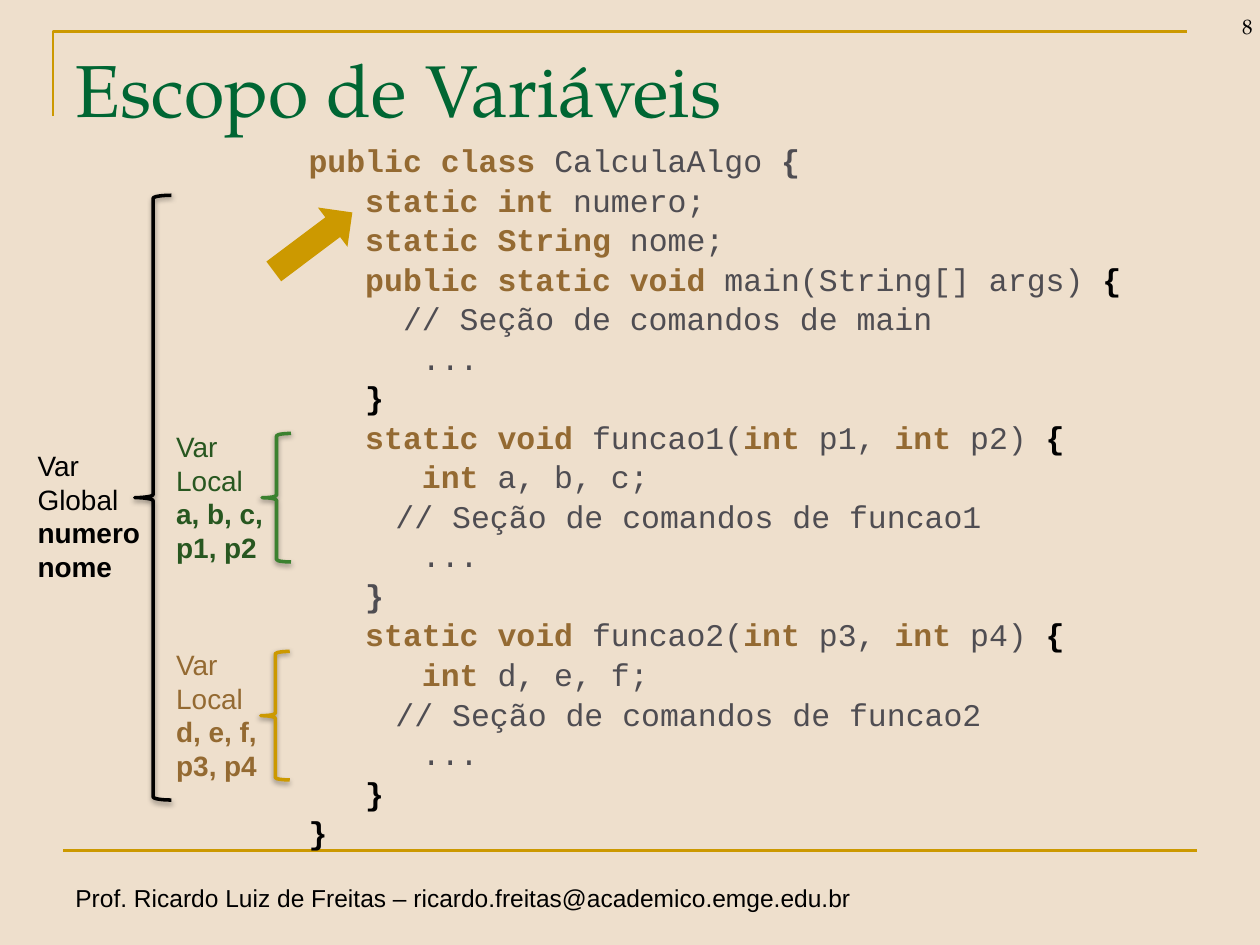
from lxml import etree
from pptx import Presentation
from pptx.dml.color import RGBColor
from pptx.enum.shapes import MSO_CONNECTOR, MSO_SHAPE
from pptx.enum.text import MSO_ANCHOR, PP_ALIGN
from pptx.oxml import parse_xml
from pptx.oxml.ns import qn
from pptx.util import Inches, Pt

LEFT, RIGHT = PP_ALIGN.LEFT, PP_ALIGN.RIGHT
TOP, BOTTOM = MSO_ANCHOR.TOP, MSO_ANCHOR.BOTTOM
RECT, BRACE, ARROW = MSO_SHAPE.RECTANGLE, MSO_SHAPE.LEFT_BRACE, MSO_SHAPE.DOWN_ARROW
STRAIGHT = MSO_CONNECTOR.STRAIGHT

SAND, GOLD, BLACK = "EEDFCC", "CC9900", "000000"
TITLE_GREEN, GREEN, DARK_GREEN = "006633", "3B812F", "285720"
BROWN, GRAY = "946A32", "4F4D52"
SERIF, SANS, MONO = "TeX Gyre Pagella", "Arial", "Courier New"

CODE_SIZE = 18
CHAR = 0.15  # width of one code character, in inches

# Code styles: colour and bold
KEYWORD, PLAIN = (BROWN, True), (GRAY, False)
MARK, GRAY_MARK = (BLACK, True), (GRAY, True)


def rgb(color):
    return RGBColor.from_string(color)


def add_run(p, text, size=16, font=SANS, color=BLACK, bold=False):
    r = p.add_run()
    r.text = text
    r.font.size, r.font.name, r.font.bold = Pt(size), font, bold
    r.font.color.rgb = rgb(color)


def add_text(s, box, text, align=LEFT, anchor=TOP, wrap=True, bold_from=None, **fmt):
    """Text box with one paragraph per line; lines from bold_from on are bold."""
    tf = s.shapes.add_textbox(*map(Inches, box)).text_frame
    tf.word_wrap, tf.vertical_anchor = wrap, anchor
    for i, line in enumerate(text.split("\n")):
        p = tf.paragraphs[0] if i == 0 else tf.add_paragraph()
        p.alignment = align
        add_run(p, line, bold=bold_from is not None and i >= bold_from, **fmt)


def add_shape(s, kind, box, fill=None, line=None):
    sp = s.shapes.add_shape(kind, *map(Inches, box))
    sp.shadow.inherit = False
    if fill:
        sp.fill.solid()
        sp.fill.fore_color.rgb = rgb(fill)
    else:
        sp.fill.background()
    if line:
        sp.line.color.rgb, sp.line.width = rgb(line), Pt(2)
    else:
        sp.line.fill.background()
    return sp


def add_frame(s, left, top, width, height):
    """Corner line above the title and rule above the footer."""
    x, y = Inches(left), Inches(top)
    builder = s.shapes.build_freeform(x, y + Inches(0.67))
    builder.add_line_segments([(x, y), (x + Inches(9), y)], close=False)
    corner = builder.convert_to_shape()
    corner.shadow.inherit = False
    corner.fill.background()
    base = Inches(top + height)
    rule = s.shapes.add_connector(STRAIGHT, Inches(left + width - 9), base,
                                  Inches(left + width), base)
    etree.SubElement(rule._element.spPr, qn("a:effectLst"))
    for sp in (corner, rule):
        sp.line.color.rgb, sp.line.width = rgb(GOLD), Pt(1.5)


def function_lines(name, params, variables, comment_at):
    """Code of one function: (indent in characters, styled pieces) per line."""
    first, second = params
    return [
        (3, [("static void", KEYWORD), (f" {name}(", PLAIN), ("int", KEYWORD),
             (f" {first}, ", PLAIN), ("int", KEYWORD), (f" {second}) ", PLAIN),
             ("{", MARK)]),
        (6, [("int ", KEYWORD), (f"{variables};", PLAIN)]),
        (comment_at, [(f"// Seção de comandos de {name}", PLAIN)]),
        (6, [("...", PLAIN)]),
    ]


def code_lines():
    return [
        (0, [("public class ", KEYWORD), ("CalculaAlgo ", PLAIN), ("{", GRAY_MARK)]),
        (3, [("static int", KEYWORD), (" numero;", PLAIN)]),
        (3, [("static String", KEYWORD), (" nome;", PLAIN)]),
        (3, [("public static void", KEYWORD), (" main(String[] args) ", PLAIN),
             ("{", MARK)]),
        (5, [("// Seção de comandos de main", PLAIN)]),
        (6, [("...", PLAIN)]),
        (3, [("}", MARK)]),
        *function_lines("funcao1", ("p1", "p2"), "a, b, c", 4.6),
        (3, [("}", GRAY_MARK)]),
        *function_lines("funcao2", ("p3", "p4"), "d, e, f", 4.6),
        (3, [("}", MARK)]),
        (0, [("}", MARK)]),
    ]


def add_code(s, box):
    tf = add_shape(s, RECT, box, fill=SAND).text_frame
    tf.word_wrap, tf.vertical_anchor = True, TOP
    for i, (indent, pieces) in enumerate(code_lines()):
        p = tf.paragraphs[0] if i == 0 else tf.add_paragraph()
        p.alignment, p.space_before = LEFT, Pt(1)
        p._p.get_or_add_pPr().set("marL", str(Inches(indent * CHAR)))
        for text, (color, bold) in pieces:
            add_run(p, text, CODE_SIZE, MONO, color, bold)


def add_scope(s, brace_box, label_at, text, line, color):
    """Brace with a soft shadow and the label of the variables it covers."""
    sp = add_shape(s, BRACE, brace_box, line=line)
    effects = sp._element.spPr.find(qn("a:effectLst"))
    effects.append(parse_xml(
        '<a:outerShdw xmlns:a="http://schemas.openxmlformats.org/drawingml/2006/main" '
        f'blurRad="{Pt(3.1)}" dist="{Pt(1.6)}" dir="5400000" rotWithShape="0">'
        f'<a:srgbClr val="{BLACK}"><a:alpha val="38000"/></a:srgbClr></a:outerShdw>'))
    add_text(s, (*label_at, 1.02, 1.18), text, color=color, bold_from=1)


def main():
    prs = Presentation()
    prs.slide_width, prs.slide_height = Inches(10), Inches(7.5)
    s = prs.slides.add_slide(prs.slide_layouts[6])
    s.background.fill.solid()
    s.background.fill.fore_color.rgb = rgb(SAND)

    # Frame, footer, title and slide number
    add_frame(s, 0.42, 0.25, 9.08, 6.5)
    add_text(s, (0.5, 6.96, 6.38, 0.34),
             "Prof. Ricardo Luiz de Freitas – ricardo.freitas@academico.emge.edu.br",
             wrap=False, size=14)
    add_text(s, (0.5, 0.3, 9, 1.25), "Escopo de Variáveis",
             size=42, font=SERIF, color=TITLE_GREEN)
    add_text(s, (9.29, -0.14, 0.75, 0.5), "8", align=RIGHT, anchor=BOTTOM,
             size=12, font=SERIF)

    # Code listing
    add_code(s, (2.35, 1.07, 7.65, 5.59))

    # Variable scopes
    add_scope(s, (2.08, 3.44, 0.23, 1.02), (1.3, 3.36),
              "Var Local\na, b, c,\np1, p2", GREEN, DARK_GREEN)
    add_scope(s, (2.07, 5.17, 0.23, 1.02), (1.3, 5.09),
              "Var Local\nd, e, f,\np3, p4", GOLD, BROWN)
    add_scope(s, (1.07, 1.55, 0.29, 4.8), (0.2, 3.51),
              "Var Global\nnumero\nnome", BLACK, BLACK)

    # Arrow to the global variables
    add_shape(s, ARROW, (2.29, 1.53, 0.39, 0.78), fill=GOLD).rotation = 233.1

    prs.save("out.pptx")


if __name__ == "__main__":
    main()
